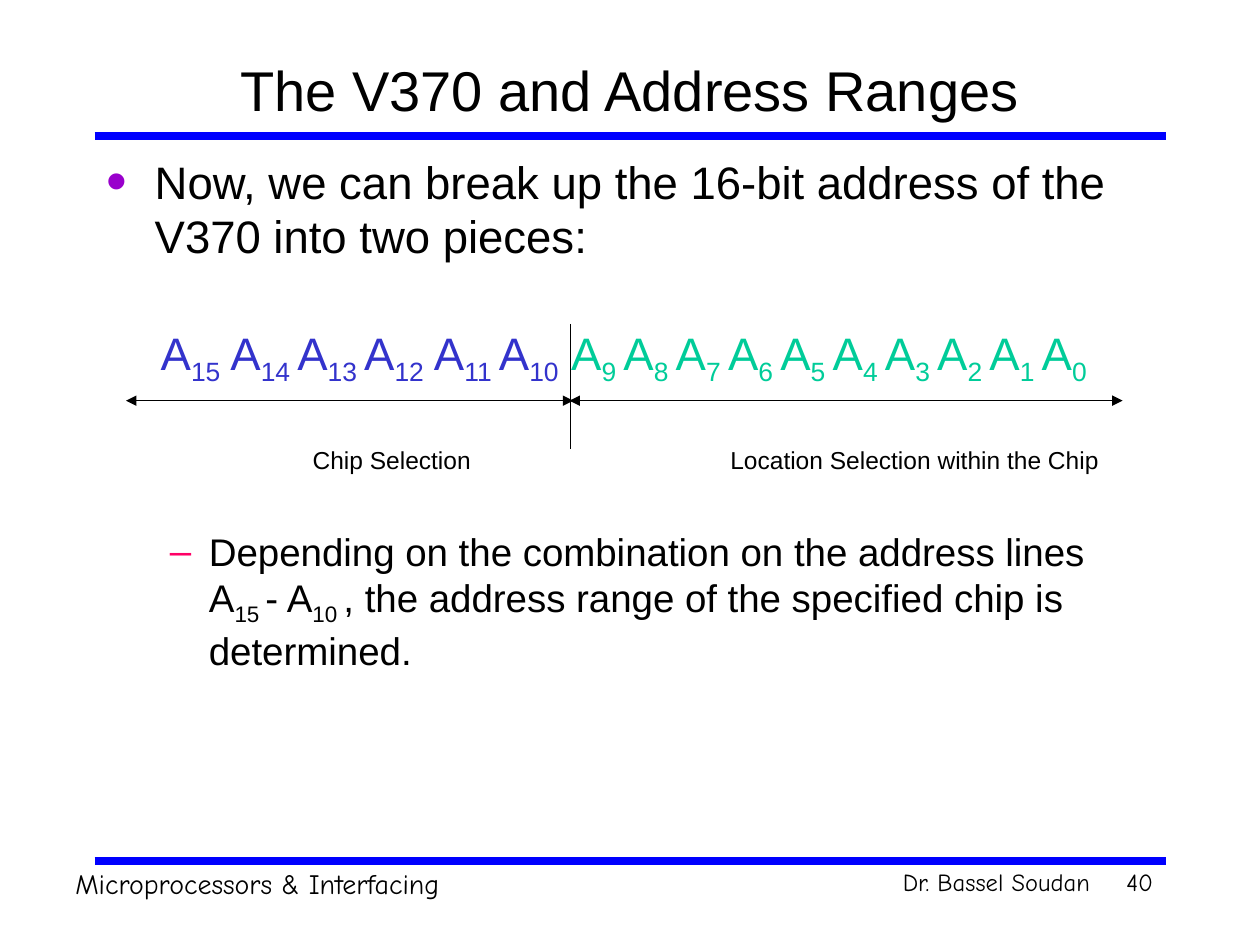
from pptx import Presentation
from pptx.dml.color import RGBColor
from pptx.enum.shapes import MSO_CONNECTOR
from pptx.enum.text import MSO_ANCHOR, PP_ALIGN
from pptx.oxml.ns import qn
from pptx.util import Inches, Pt
from lxml.etree import SubElement

COLORS = {
    "text": "000000",
    "rule": "0000FF",
    "chip": "3333CC",
    "location": "00CC99",
    "bullet": "9900CC",
    "dash": "FF0066",
}

prs = Presentation()
prs.slide_width, prs.slide_height = Inches(10), Inches(7.5)
slide = prs.slides.add_slide(prs.slide_layouts[6])


def add_label(text, left, top, width, height, size, font="Arial",
              align=PP_ALIGN.LEFT, wrap=True, anchor=MSO_ANCHOR.TOP):
    box = slide.shapes.add_textbox(Inches(left), Inches(top), Inches(width), Inches(height))
    frame = box.text_frame
    frame.word_wrap = wrap
    frame.vertical_anchor = anchor
    paragraph = frame.paragraphs[0]
    paragraph.text = text
    paragraph.alignment = align
    paragraph.font.size = Pt(size)
    paragraph.font.name = font
    paragraph.font.color.rgb = RGBColor.from_string(COLORS["text"])
    return frame


def add_run(paragraph, text, color="text", subscript=False):
    run = paragraph.add_run()
    run.text = text
    run.font.color.rgb = RGBColor.from_string(COLORS[color])
    if subscript:
        run.font._element.set("baseline", "-25000")


# Title and footer
add_label("The V370 and Address Ranges", 0.75, 0.33, 8.5, 0.75, 32,
          align=PP_ALIGN.CENTER, anchor=MSO_ANCHOR.MIDDLE)
course = add_label("Microprocessors & Interfacing", 0.5, 6.83, 5.67, 0.37, 16, "Comic Neue")
course.paragraphs[0].space_before = Pt(10)
author = add_label("Dr. Bassel Soudan", 6.33, 6.83, 2.42, 0.34, 14, "Comic Neue", PP_ALIGN.RIGHT)
author.paragraphs[0].space_before = Pt(8.8)
add_label("40", 8.73, 6.83, 0.52, 0.5, 14, "Comic Neue", PP_ALIGN.RIGHT)

# Body: introduction, address lines, conclusion
body = add_label("", 0.75, 1.17, 8.5, 5.58, 26)
intro = body.paragraphs[0]
address = body.add_paragraph()
conclusion = body.add_paragraph()

add_run(intro, "Now, we can break up the 16-bit address of the V370 into two pieces:")

address.alignment = PP_ALIGN.CENTER
wide_gaps = (15, 12, 10)
for bit in range(15, -1, -1):
    color = "chip" if bit >= 10 else "location"
    add_run(address, "A", color)
    add_run(address, str(bit), color, subscript=True)
    if bit:
        add_run(address, " ", color, subscript=bit not in wide_gaps)

for text, subscript in [
    ("Depending on the combination on the address lines A", False),
    ("15 ", True),
    ("- A", False),
    ("10 ", True),
    (", the address range of the specified chip is determined.", False),
]:
    add_run(conclusion, text, subscript=subscript)

for paragraph, size, before, left, right, indent, mark, mark_color, mark_size in [
    (intro, 26, 6.5, 0.38, 0, -0.38, "•", "bullet", 130),
    (address, 26, 35.5, 0.38, 0.1, -0.38, None, None, None),
    (conclusion, 22, 80.7, 0.81, 0.2, -0.31, "–", "dash", 100),
]:
    paragraph.font.size = Pt(size)
    paragraph.font.name = "Arial"
    paragraph.space_before = Pt(before)
    properties = paragraph._p.get_or_add_pPr()
    for side, length in [("marL", left), ("marR", right), ("indent", indent)]:
        properties.set(side, str(Inches(length)))
    if mark:
        bullet_color = SubElement(properties, qn("a:buClr"))
        SubElement(bullet_color, qn("a:srgbClr"), val=COLORS[mark_color])
        SubElement(properties, qn("a:buSzPct"), val=str(mark_size * 1000))
        SubElement(properties, qn("a:buFont"), typeface="Arial")
        SubElement(properties, qn("a:buChar"), char=mark)
        # the schema wants the default run properties after the bullet
        properties.append(properties.find(qn("a:defRPr")))

# Rules, address spans and the divider between them
for x1, y1, x2, y2, color, width, arrows in [
    (0.75, 1.08, 9.25, 1.08, "rule", 4.5, False),
    (0.75, 6.83, 9.25, 6.83, "rule", 4.5, False),
    (1, 3.18, 4.55, 3.18, "text", 0.75, True),
    (4.52, 3.18, 8.91, 3.18, "text", 0.75, True),
    (4.53, 2.57, 4.53, 3.56, "text", 0.75, False),
]:
    line = slide.shapes.add_connector(
        MSO_CONNECTOR.STRAIGHT, Inches(x1), Inches(y1), Inches(x2), Inches(y2))
    line.line.color.rgb = RGBColor.from_string(COLORS[color])
    line.line.width = Pt(width)
    if arrows:
        for end in ("a:headEnd", "a:tailEnd"):
            SubElement(line.line._get_or_add_ln(), qn(end), type="triangle")
    SubElement(line._element.spPr, qn("a:effectLst"))

add_label("Chip Selection", 2.38, 3.48, 1.46, 0.34, 14, align=PP_ALIGN.CENTER, wrap=False)
add_label("Location Selection within the Chip", 5.66, 3.48, 3.2, 0.34, 14,
          align=PP_ALIGN.CENTER, wrap=False)

prs.save("out.pptx")
